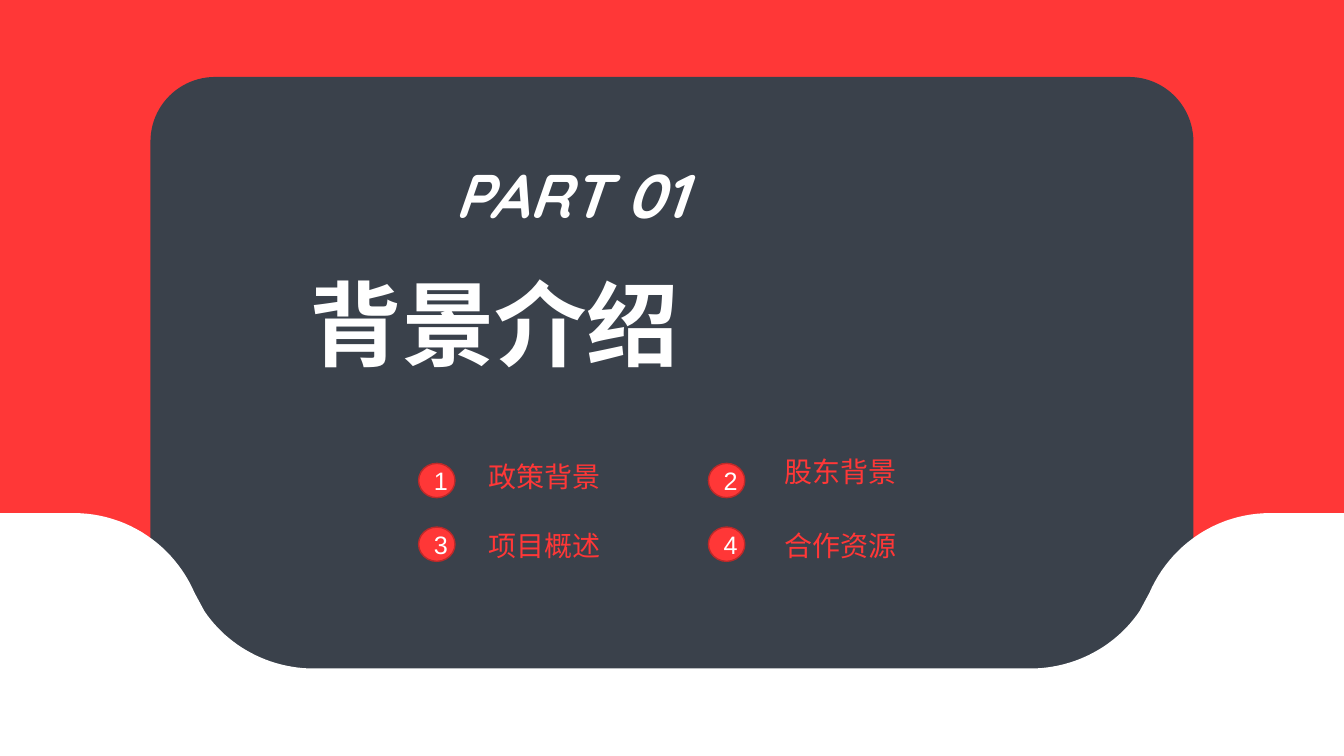
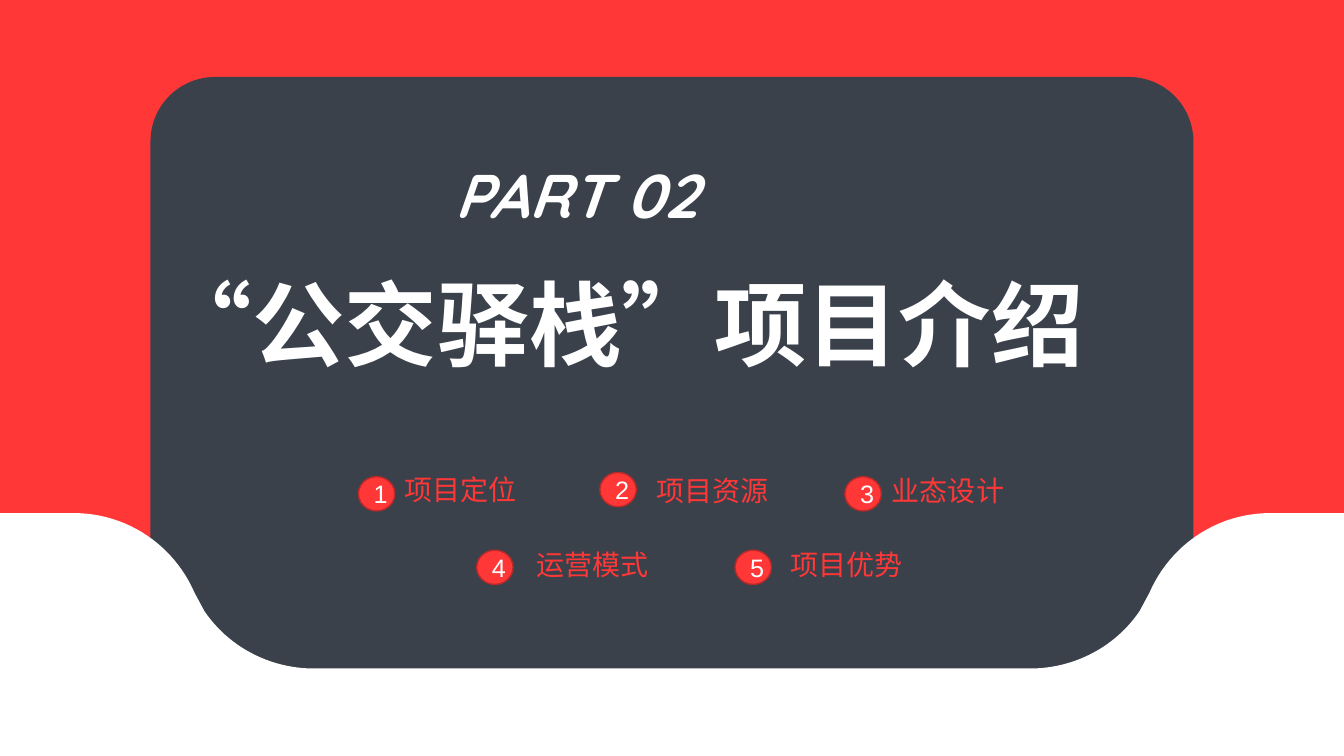
import pptx
import pptx.util
import pptx.dml.color
import pptx.enum.lang
import pptx.enum.shapes
import pptx.enum.text
import lxml.etree

Pt = pptx.util.Pt
SHAPE = pptx.enum.shapes.MSO_SHAPE
ALIGN = pptx.enum.text.PP_ALIGN
ANCHOR = pptx.enum.text.MSO_ANCHOR
RED, DARK_RED, SLATE, WHITE = "FF3737", "BD2929", "3A414B", "FFFFFF"
CJK = "Noto Sans CJK SC"
W, H = 960, 540
A = "{http://schemas.openxmlformats.org/drawingml/2006/main}"


def paint(sp, fill, line=None):
    sp.shadow.inherit = False
    sp.fill.solid()
    sp.fill.fore_color.rgb = pptx.dml.color.RGBColor.from_string(fill)
    if line:
        sp.line.color.rgb = pptx.dml.color.RGBColor.from_string(line)
        sp.line.width = Pt(1)
    else:
        sp.line.fill.background()


def write(sp, text, size, color, font, anchor=ANCHOR.TOP, align=ALIGN.LEFT,
          spacing=1.0, bold=False, italic=False):
    tf = sp.text_frame
    tf.word_wrap = True
    tf.auto_size = pptx.enum.text.MSO_AUTO_SIZE.NONE
    tf.vertical_anchor = anchor
    p = tf.paragraphs[0]
    p.alignment = align
    p.line_spacing = spacing
    r = p.add_run()
    r.text = text
    r.font.size = Pt(size)
    r.font.bold = bold
    r.font.italic = italic
    r.font.name = font
    r.font.color.rgb = pptx.dml.color.RGBColor.from_string(color)
    r.font.language_id = pptx.enum.lang.MSO_LANGUAGE_ID.SIMPLIFIED_CHINESE
    rPr = r._r.get_or_add_rPr()
    rPr.find(A + "latin").addnext(lxml.etree.Element(A + "ea", typeface=CJK))


curves = [
    [(52.5, 366.5), (91.5, 366.5), (124.5, 390), (139, 423.5)],
    [(146, 436.5), (162.5, 461), (191.5, 477.5), (224, 477.5)],
]
left_edge = [(0, 366.5)]
for curve in curves:
    for i in range(25):
        t = i / 24
        weights = [(1 - t) ** 3, 3 * t * (1 - t) ** 2, 3 * t ** 2 * (1 - t), t ** 3]
        left_edge.append(tuple(sum(w * pt[k] for w, pt in zip(weights, curve)) for k in (0, 1)))
right_edge = [(W - x, y) for x, y in reversed(left_edge)]
wave_points = [(Pt(x), Pt(y)) for x, y in left_edge + right_edge + [(W, H), (0, H)]]

sections = [
    {
        "part": "PART 01", "title": "背景介绍", "left": 214, "width": 554,
        "items": [
            ("政策背景", 299, 331, 342, 327.5),
            ("股东背景", 506, 331, 553, 324),
            ("项目概述", 299, 376.5, 342, 376.5),
            ("合作资源", 506, 376.5, 553, 376.5),
        ],
    },
    {
        "part": "PART 02", "title": "“公交驿栈”项目介绍", "left": 107, "width": 710,
        "items": [
            ("项目定位", 256, 340.5, 282, 337),
            ("项目资源", 428.5, 337.5, 461.5, 337.5),
            ("业态设计", 603.5, 340.5, 630, 337.5),
            ("运营模式", 340.5, 393, 376, 390),
            ("项目优势", 525, 393, 557.5, 390),
        ],
    },
]

prs = pptx.Presentation()
prs.slide_width, prs.slide_height = Pt(W), Pt(H)

for section in sections:
    s = prs.slides.add_slide(prs.slide_layouts[5])

    backdrop = s.shapes.add_shape(SHAPE.RECTANGLE, 0, 0, Pt(W), Pt(H))
    paint(backdrop, RED)
    panel = s.shapes.add_shape(SHAPE.ROUNDED_RECTANGLE, Pt(107.5), Pt(55), Pt(745), Pt(443.5))
    panel.adjustments[0] = 0.104
    paint(panel, SLATE)
    outline = s.shapes.build_freeform(*wave_points[0])
    outline.add_line_segments(wave_points[1:], close=True)
    wave = outline.convert_to_shape()
    paint(wave, WHITE)

    title = s.shapes.title
    wave.element.addnext(title.element)
    title.left, title.top = Pt(section["left"]), Pt(196)
    title.width, title.height = Pt(section["width"]), Pt(87)
    write(title, section["title"], 66, WHITE, CJK, spacing=0.9, bold=True)

    part = s.shapes.add_textbox(Pt(317.5), Pt(108.5), Pt(325), Pt(60.5))
    write(part, section["part"], 44, WHITE, "Quicksand", bold=True, italic=True)

    for number, (name, dot_x, dot_y, x, y) in enumerate(section["items"], 1):
        label = s.shapes.add_textbox(Pt(x), Pt(y), Pt(231), Pt(31.5))
        write(label, name, 20, RED, "Arial", spacing=0.9)
        dot = s.shapes.add_shape(SHAPE.OVAL, Pt(dot_x), Pt(dot_y), Pt(26), Pt(24.5))
        paint(dot, RED, DARK_RED)
        write(dot, str(number), 18, WHITE, "Arial", ANCHOR.MIDDLE, ALIGN.CENTER)

prs.save("out.pptx")
